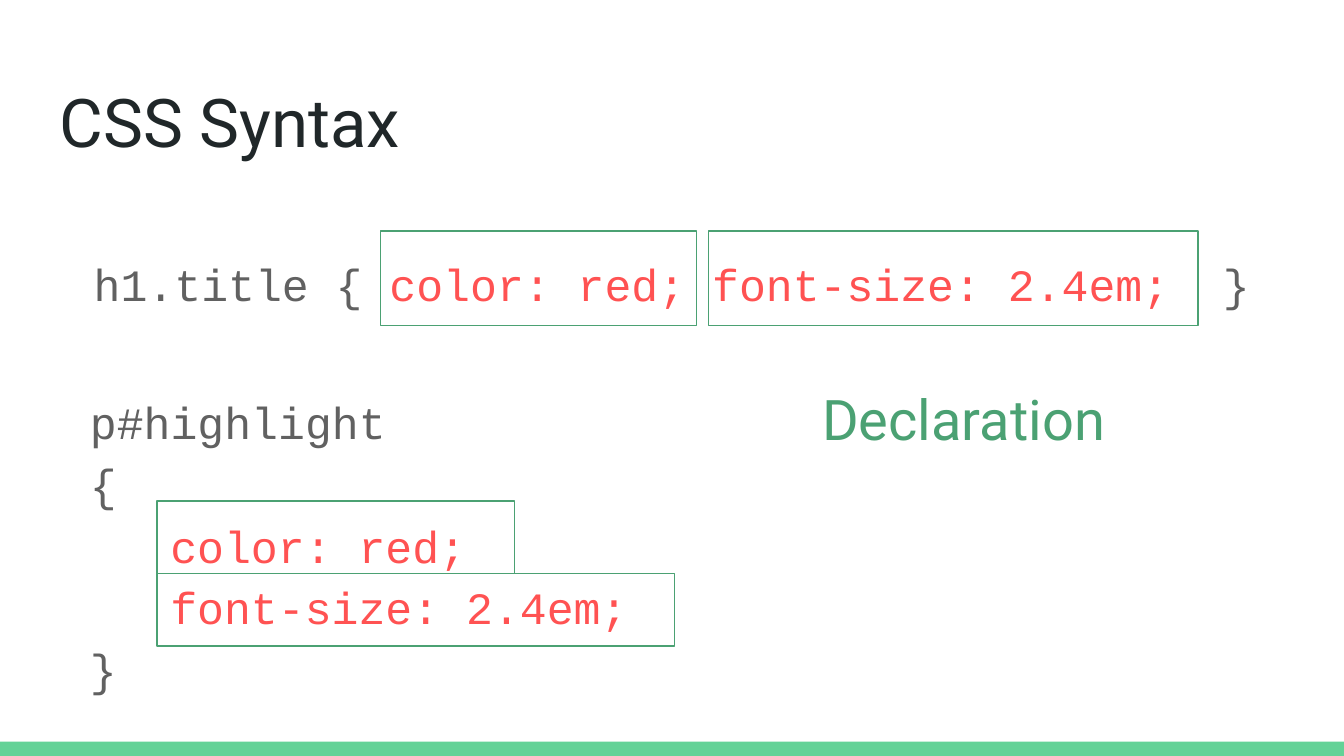
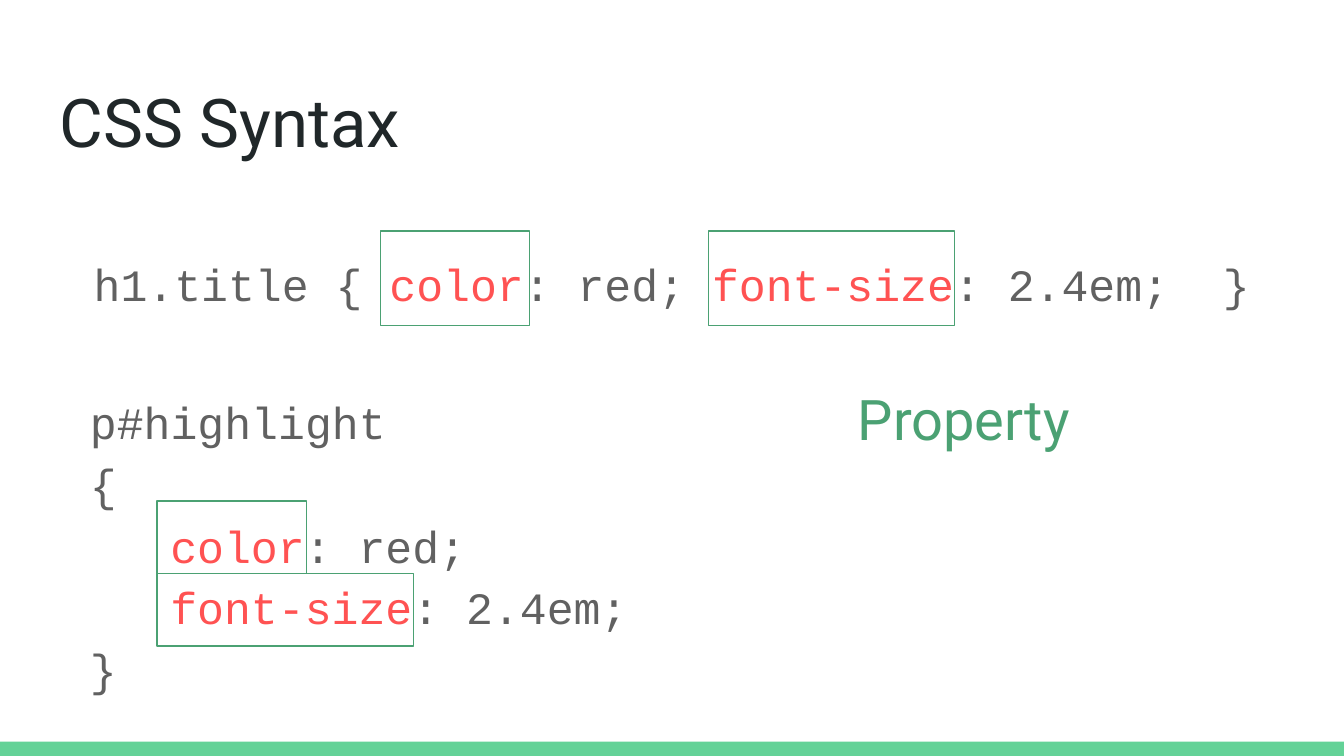
from pptx import Presentation
from pptx.dml.color import RGBColor
from pptx.enum.shapes import MSO_SHAPE
from pptx.enum.text import MSO_ANCHOR, PP_ALIGN
from pptx.util import Cm, Pt

RECT = MSO_SHAPE.RECTANGLE
TOP = MSO_ANCHOR.TOP
LEFT, CENTER = PP_ALIGN.LEFT, PP_ALIGN.CENTER

HEX = {"band": "63D297", "title": "202729", "code": "616161",
       "hot": "FF5252", "frame": "4BA173"}
COLOR = {name: RGBColor.from_string(code) for name, code in HEX.items()}

TITLE = {"name": "Roboto", "size": Pt(36)}
CODE = {"name": "Courier New", "size": Pt(24)}
WORD = {"name": "Roboto", "size": Pt(30)}
INSET = Cm(0.25)
INDENT = Cm(1.52)
SPACE = 1.15

# Odd pieces between bars are highlighted; a leading tab asks for an indent.
SLIDES = [
    {"word": "Declaration",
     "line": "h1.title { |color: red; font-size: 2.4em;|  }",
     "block": ["p#highlight", "{", "\t|color: red;",
               "\t|font-size: 2.4em;", "}"],
     "widths": [5.97, 9.25, 6.76, 9.78]},
    {"word": "Property",
     "line": "h1.title { |color|: red; |font-size|: 2.4em;  }",
     "block": ["p#highlight", "{", "\t|color|: red;",
               "\t|font-size|: 2.4em;", "}"],
     "widths": [2.82, 4.65, 2.82, 4.85]},
]
# Left, top and height of the frames around the highlighted code.
FRAMES = [(7.19, 4.37, 1.78), (13.39, 4.37, 1.78),
          (2.97, 9.47, 1.37), (2.97, 10.84, 1.37)]


def write(slide, place, lines, font, color, align=LEFT, space=SPACE):
    """Add a text box with one paragraph per line of marked text."""
    frame = slide.shapes.add_textbox(*map(Cm, place)).text_frame
    layout = {"word_wrap": True, "vertical_anchor": TOP,
              "margin_left": INSET, "margin_right": INSET,
              "margin_top": INSET, "margin_bottom": INSET}
    for key, value in layout.items():
        setattr(frame, key, value)
    for row, line in enumerate(lines):
        para = frame.add_paragraph() if row else frame.paragraphs[0]
        para.alignment = align
        para.line_spacing = space
        if line.startswith("\t"):
            para._p.get_or_add_pPr().set("marL", str(INDENT))
        for spot, piece in enumerate(line.lstrip("\t").split("|")):
            if not piece:
                continue
            run = para.add_run()
            run.text = piece
            for key, value in font.items():
                setattr(run.font, key, value)
            run.font.color.rgb = COLOR["hot" if spot % 2 else color]


def box(slide, place):
    """Add a plain rectangle without shadow."""
    shape = slide.shapes.add_shape(RECT, *map(Cm, place))
    shape.shadow.inherit = False
    return shape


deck = Presentation()
deck.slide_width = Cm(25.4)
deck.slide_height = Cm(14.29)

for data in SLIDES:
    slide = deck.slides.add_slide(deck.slide_layouts[6])

    band = box(slide, (0, 14.02, 25.4, 0.27))
    band.fill.solid()
    band.fill.fore_color.rgb = COLOR["band"]
    band.line.fill.background()

    write(slide, (0.88, 1.26, 23.67, 1.6), ["CSS Syntax"], TITLE, "title",
          space=1.0)
    write(slide, (0.86, 4.45, 23.67, 1.78), [data["line"]], CODE, "code",
          CENTER)
    write(slide, (1.45, 7.06, 12.32, 6.35), data["block"], CODE, "code")
    write(slide, (13.59, 6.82, 9.25, 1.78), [data["word"]], WORD, "frame",
          CENTER)

    for (left, top, high), wide in zip(FRAMES, data["widths"]):
        frame = box(slide, (left, top, wide, high))
        frame.fill.background()
        frame.line.color.rgb = COLOR["frame"]
        frame.line.width = Pt(0.75)

deck.save("out.pptx")
